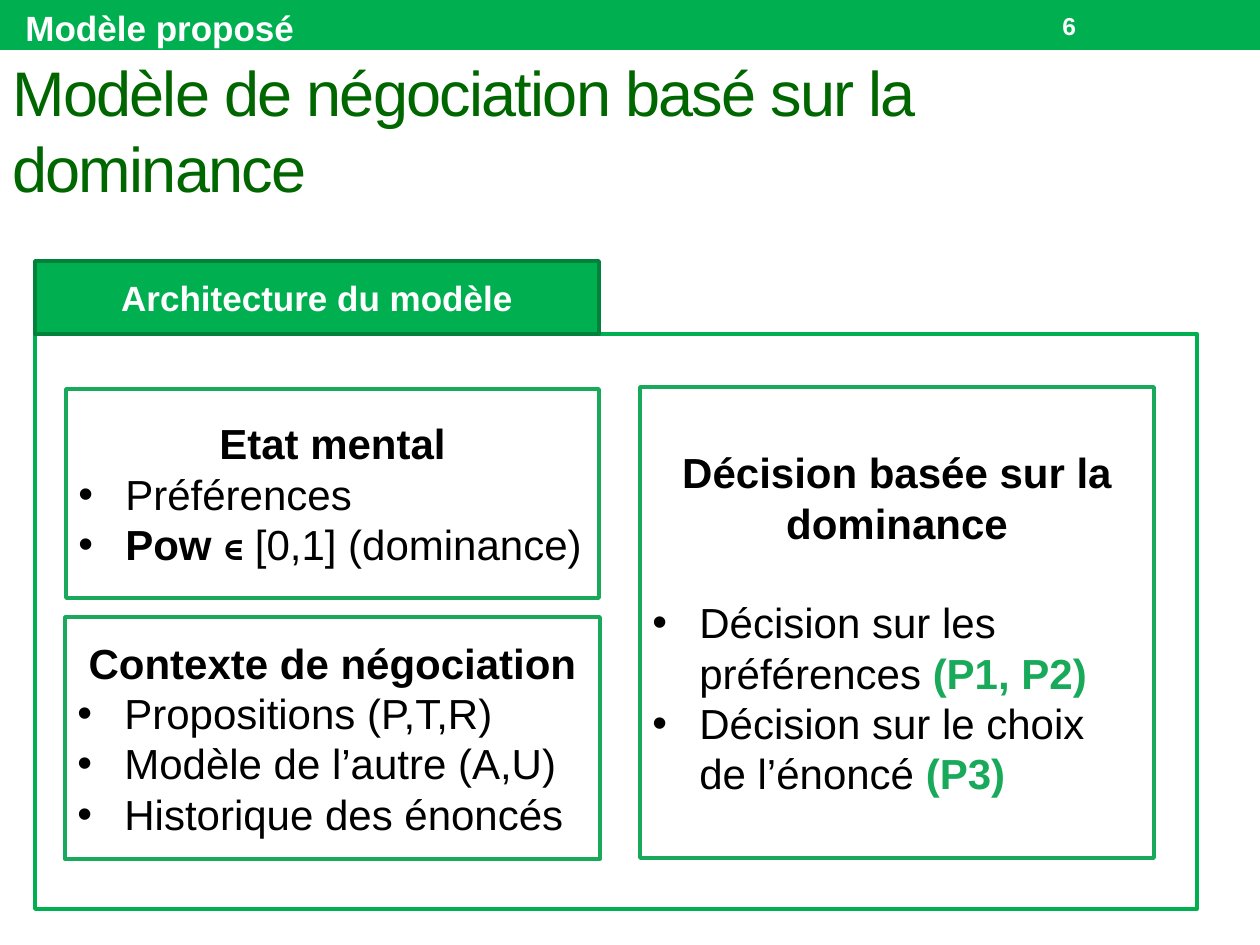
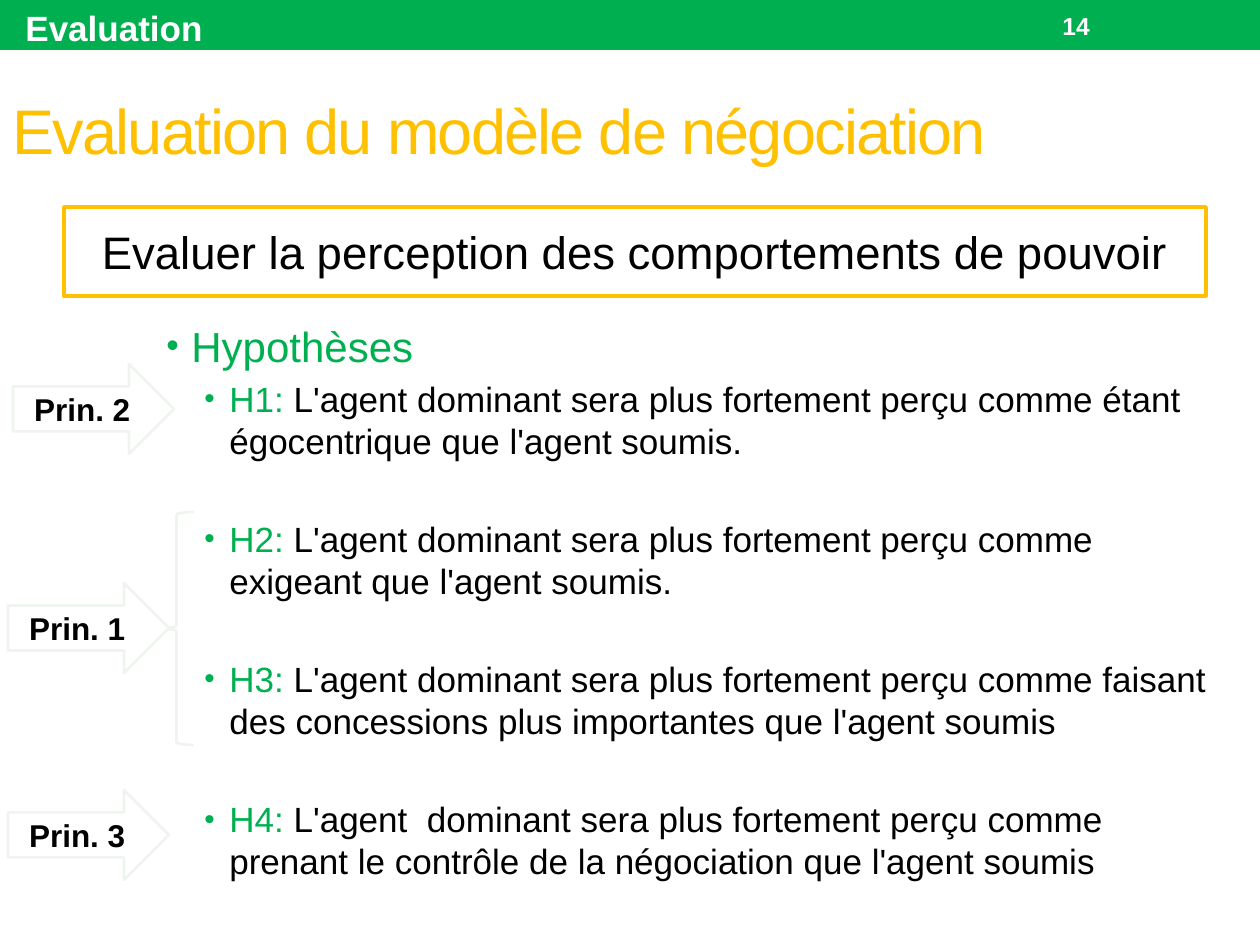
from lxml.etree import SubElement
from pptx import Presentation
from pptx.dml.color import RGBColor
from pptx.enum.shapes import MSO_SHAPE as Preset
from pptx.enum.text import MSO_ANCHOR as Anchor, PP_ALIGN as Align
from pptx.oxml.ns import qn
from pptx.util import Pt

PX = 914400 / 126
GREEN, EDGE_GREEN, DARK_EDGE = "00B050", "19A95A", "00823B"
TITLE_GREEN, GOLD, PALE = "006600", "FFC000", "EFF4EF"
BLACK, WHITE = "000000", "FFFFFF"
FONT = "Arial"


def color(value):
    return RGBColor.from_string(value)


def add_box(slide, place, preset=Preset.RECTANGLE, fill=None, line=None, width=2.08):
    shape = slide.shapes.add_shape(preset, *[round(length * PX) for length in place])
    shape.shadow.inherit = False
    if fill:
        shape.fill.solid()
        shape.fill.fore_color.rgb = color(fill)
    else:
        shape.fill.background()
    if line:
        shape.line.color.rgb = color(line)
        shape.line.width = Pt(width)
    else:
        shape.line.fill.background()
    return shape


def write(shape, *runs, size=24, ink=BLACK, bold=False, align=Align.LEFT, anchor=Anchor.MIDDLE,
          wrap=True, before=0, spacing=0, indent=0, hanging=0, bullet_color=None, bullet_size=100):
    frame = shape.text_frame
    frame.word_wrap = wrap
    frame.vertical_anchor = anchor
    paragraph = frame.add_paragraph() if frame.text else frame.paragraphs[0]
    paragraph.alignment = align
    paragraph.space_before = Pt(before)
    if hanging:
        properties = paragraph._p.get_or_add_pPr()
        properties.set("marL", str(round(indent * PX)))
        properties.set("indent", str(round(-hanging * PX)))
        if bullet_color:
            bullet = SubElement(properties, qn("a:buClr"))
            SubElement(bullet, qn("a:srgbClr")).set("val", bullet_color)
        SubElement(properties, qn("a:buSzPct")).set("val", str(bullet_size * 1000))
        SubElement(properties, qn("a:buFont")).set("typeface", FONT)
        SubElement(properties, qn("a:buChar")).set("char", "•")
    for text, changes in runs:
        run = paragraph.add_run()
        run.text = text
        run.font.name = changes.get("font", FONT)
        run.font.size = Pt(size)
        run.font.bold = changes.get("bold", bold)
        run.font.color.rgb = color(changes.get("ink", ink))
        if spacing:
            run._r.get_or_add_rPr().set("spc", str(spacing * 100))


presentation = Presentation()
presentation.slide_width = round(1260 * PX)
presentation.slide_height = round(945 * PX)

slides = []
for section, number, title, title_color in [
    ("Modèle proposé", "6", "Modèle de négociation basé sur la dominance", TITLE_GREEN),
    ("Evaluation", "14", "Evaluation du modèle de négociation", GOLD),
]:
    slide = presentation.slides.add_slide(presentation.slide_layouts[6])
    slides.append(slide)
    add_box(slide, (0, 0, 1260, 50), fill=GREEN)
    for text, place, style in [
        (section, (13, 0, 296, 55), dict(size=20, ink=WHITE, bold=True, anchor=Anchor.TOP)),
        (number, (1050, 3, 147, 45), dict(size=14, ink=WHITE, bold=True)),
        (title, (0, 50, 1235, 158), dict(size=36, ink=title_color, spacing=-1)),
    ]:
        label = slide.shapes.add_textbox(*[round(length * PX) for length in place])
        write(label, (text, {}), **style)

model_slide, evaluation_slide = slides

add_box(model_slide, (35, 334, 1162, 575), fill=WHITE, line=GREEN)
header = add_box(model_slide, (35, 261, 564, 73), fill=GREEN, line=DARK_EDGE)
write(header, ("Architecture du modèle", {}), size=20, ink=WHITE, bold=True, align=Align.CENTER)

strong = dict(bold=True)
principle = dict(bold=True, ink=EDGE_GREEN)
for place, heading, gap, items in [
    ((66, 389, 533, 209), "Etat mental", 0, [
        [("Préférences", {})],
        [("Pow ", strong), ("∊ ", dict(bold=True, font="Times New Roman")),
         ("[0,1] (dominance)", {})],
    ]),
    ((65, 617, 535, 242), "Contexte de négociation", 0, [
        [("Propositions (P,T,R)", {})],
        [("Modèle de l’autre (A,U)", {})],
        [("Historique des énoncés", {})],
    ]),
    ((640, 387, 514, 471), "Décision basée sur la dominance", 28, [
        [("Décision sur les préférences ", {}), ("(P1, P2)", principle)],
        [("Décision sur le choix de l’énoncé ", {}), ("(P3)", principle)],
    ]),
]:
    panel = add_box(model_slide, place, line=EDGE_GREEN)
    write(panel, (heading, {}), bold=True, align=Align.CENTER)
    for index, runs in enumerate(items):
        write(panel, *runs, indent=47, hanging=47, before=0 if index else gap)

hypotheses = evaluation_slide.shapes.add_textbox(
    *[round(length * PX) for length in (154, 314, 1081, 543)])
bullet_style = dict(anchor=Anchor.TOP, hanging=25, bullet_color=GREEN, bullet_size=85)
write(hypotheses, ("Hypothèses", {}), ink=GREEN, before=5, indent=25, **bullet_style)
for index, claim in enumerate([
    "L'agent dominant sera plus fortement perçu comme étant égocentrique que l'agent soumis.",
    "L'agent dominant sera plus fortement perçu comme exigeant que l'agent soumis.",
    "L'agent dominant sera plus fortement perçu comme faisant des concessions plus importantes "
    "que l'agent soumis",
    "L'agent  dominant sera plus fortement perçu comme prenant le contrôle de la négociation "
    "que l'agent soumis",
]):
    write(hypotheses, (f"H{index + 1}: ", dict(ink=GREEN)), (claim, {}), size=20,
          before=32 if index else 4, indent=63, **bullet_style)

goal = add_box(evaluation_slide, (64, 207, 1142, 89), line=GOLD)
write(goal, ("Evaluer la perception des comportements de pouvoir", {}), size=26, align=Align.CENTER)

add_box(evaluation_slide, (159, 512, 35, 233), Preset.LEFT_BRACE, WHITE, PALE, 1.5)
for text, left, top in [("Prin. 2", 13, 364), ("Prin. 3", 8, 790), ("Prin. 1", 8, 583)]:
    arrow = add_box(evaluation_slide, (left, top, 161, 90), Preset.RIGHT_ARROW, WHITE, PALE, 1.5)
    write(arrow, (text, {}), size=18, bold=True, align=Align.CENTER)

presentation.save("out.pptx")
